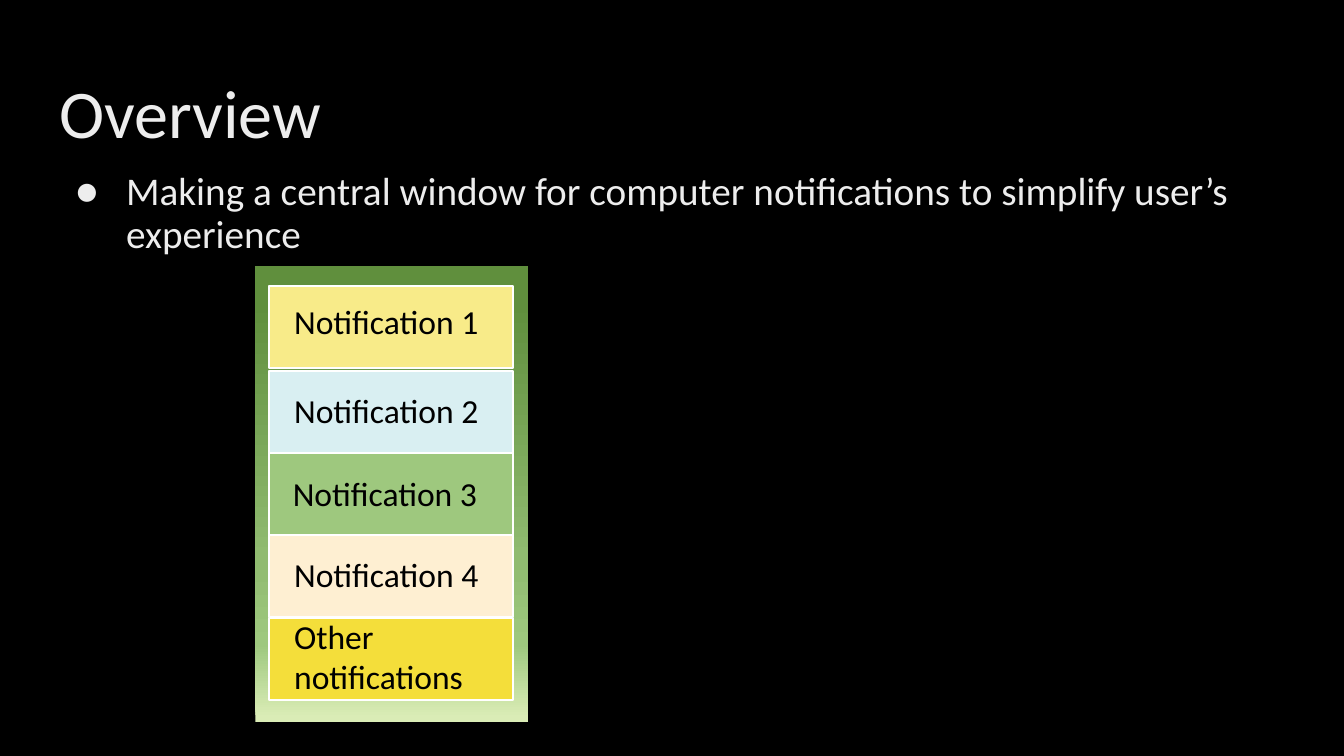
import pptx
import pptx.util
import pptx.dml.color
import pptx.enum.shapes
import pptx.enum.text
import pptx.oxml
import pptx.oxml.ns
import lxml.etree

WIDTH = 10
HEIGHT = WIDTH * 9 / 16
MARGIN = 0.34
FONT = "Calibri"
TITLE = "Overview"
BULLET = "Making a central window for computer notifications to simplify user’s experience"
TITLE_STOPS = [(0, "BFBFBF"), (28, "EDEDED"), (100, "FFFFFF")]
BULLET_STOPS = [(0, "BFBFBF"), (34, "EDEDED"), (100, "FFFFFF")]
PANEL_STOPS = [(1, "DAECB6"), (17, "9EC87E"), (36, "90BB70"), (92, "608F3D")]
PANEL = (1.9, 1.98, 2.03, 3.39)
CARD_LEFT, CARD_WIDTH, CARD_HEIGHT = 2, 1.82, 0.61
CARDS = [
    ("Notification 1", "F8EB89", 2.13, (2.09, 2.19, 1.65, 0.4)),
    ("Notification 2", "D9EFF2", 2.76, (2.09, 2.85, 1.65, 0.4)),
    ("Notification 3", "9EC87E", 3.37, (2.08, 3.47, 1.65, 0.4)),
    ("Notification 4", "FEEFD2", 3.98, (2.09, 4.07, 1.65, 0.4)),
    ("Other notifications", "F4DE3A", 4.6, (2.09, 4.53, 1.72, 0.71)),
]


def color(value):
    return pptx.dml.color.RGBColor.from_string(value)


def inches(values):
    return [pptx.util.Inches(value) for value in values]


def set_gradient(fill, element, stops, angle):
    fill.gradient()
    fill.gradient_angle = angle
    stop_list = element.find(".//" + pptx.oxml.ns.qn("a:gsLst"))
    for stop in list(stop_list):
        stop_list.remove(stop)
    for position, value in stops:
        stop = lxml.etree.SubElement(stop_list, pptx.oxml.ns.qn("a:gs"), pos=str(position * 1000))
        lxml.etree.SubElement(stop, pptx.oxml.ns.qn("a:srgbClr"), val=value)


def write_text(shape, text, size, inset=None):
    frame = shape.text_frame
    frame.text = text
    frame.word_wrap = True
    frame.auto_size = pptx.enum.text.MSO_AUTO_SIZE.NONE
    frame.vertical_anchor = pptx.enum.text.MSO_ANCHOR.TOP
    if inset is not None:
        frame.margin_left = frame.margin_right = pptx.util.Inches(inset)
        frame.margin_top = frame.margin_bottom = pptx.util.Inches(inset)
    paragraph = frame.paragraphs[0]
    paragraph.alignment = pptx.enum.text.PP_ALIGN.LEFT
    font = paragraph.runs[0].font
    font.name = FONT
    font.size = pptx.util.Pt(size)
    return paragraph


def write_heading(shape, text, size, stops):
    paragraph = write_text(shape, text, size, 0.1)
    paragraph.line_spacing = 0.9
    paragraph.space_before = pptx.util.Pt(0)
    set_gradient(paragraph.runs[0].font.fill, shape.element, stops, 280)
    return paragraph


def add_rectangle(slide, box):
    shape = slide.shapes.add_shape(pptx.enum.shapes.MSO_SHAPE.RECTANGLE, *inches(box))
    shape.shadow.inherit = False
    return shape


def add_bullet(paragraph):
    properties = paragraph._p.get_or_add_pPr()
    properties.set("marL", str(pptx.util.Inches(0.5)))
    properties.set("indent", str(pptx.util.Inches(-0.38)))
    lxml.etree.SubElement(properties, pptx.oxml.ns.qn("a:buFont"), typeface=FONT)
    lxml.etree.SubElement(properties, pptx.oxml.ns.qn("a:buChar"), char="●")


def main():
    presentation = pptx.Presentation()
    presentation.slide_width, presentation.slide_height = inches((WIDTH, HEIGHT))
    slide = presentation.slides.add_slide(presentation.slide_layouts[5])
    slide.background.fill.solid()
    slide.background.fill.fore_color.rgb = color("000000")

    text_width = WIDTH - 2 * MARGIN
    title = slide.shapes.title
    title.left, title.top, title.width, title.height = inches((MARGIN, 0.49, text_width, 0.63))
    write_heading(title, TITLE, 36.5, TITLE_STOPS)

    body = slide.shapes.add_textbox(*inches((MARGIN, 1.18, text_width, 3.74)))
    add_bullet(write_heading(body, BULLET, 21, BULLET_STOPS))

    panel = add_rectangle(slide, PANEL)
    set_gradient(panel.fill, panel.element, PANEL_STOPS, 90)
    panel.line.fill.background()

    for _, fill, top, _ in CARDS:
        card = add_rectangle(slide, (CARD_LEFT, top, CARD_WIDTH, CARD_HEIGHT))
        card.fill.solid()
        card.fill.fore_color.rgb = color(fill)
        card.line.color.rgb = color("FFFFFF")
        card.line.width = pptx.util.Pt(1)

    for text, _, _, box in CARDS:
        label = slide.shapes.add_textbox(*inches(box))
        paragraph = write_text(label, text, 18)
        paragraph.runs[0].font.color.rgb = color("000000")

    presentation.save("out.pptx")


if __name__ == "__main__":
    main()
